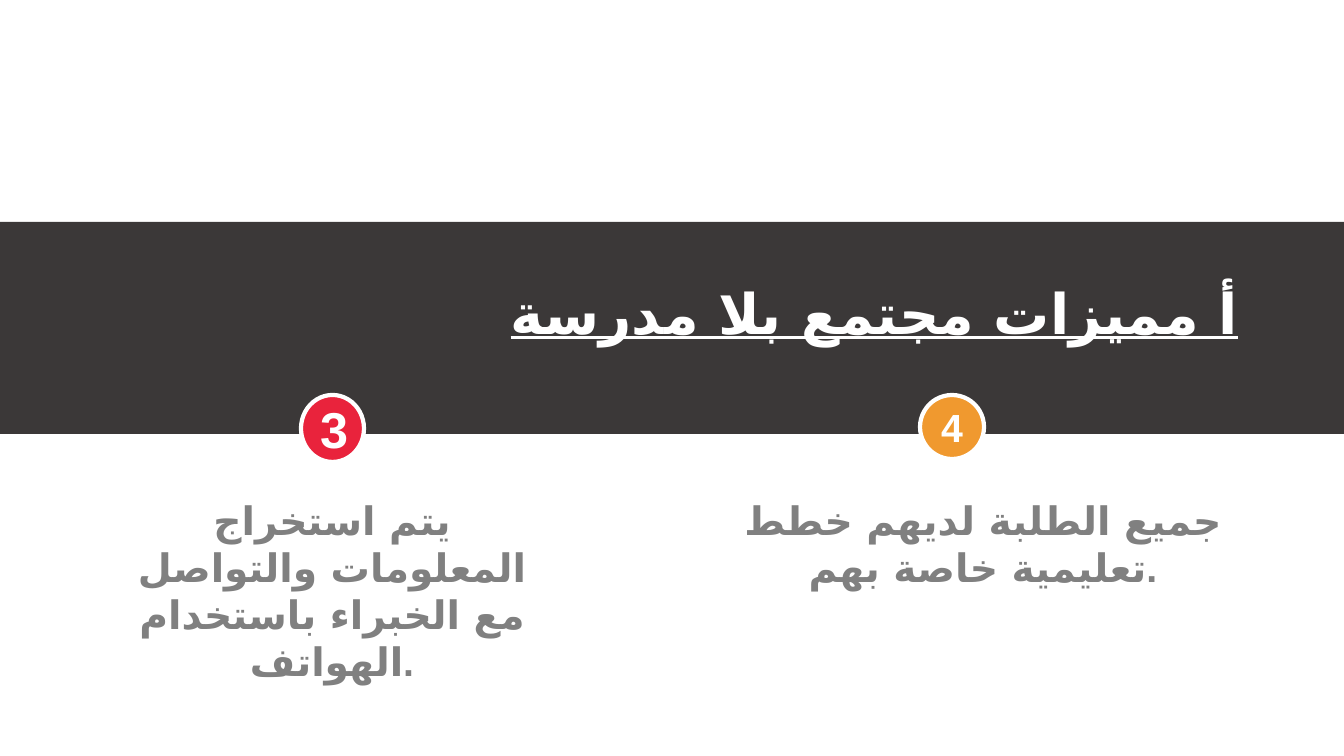
import pptx
import pptx.util
import pptx.dml.color
import pptx.enum.shapes
import pptx.enum.text
import pptx.oxml.ns
import lxml.etree

WIDE, HIGH = 1344, 756
SCALE = 12192000 / WIDE
ALIGN = pptx.enum.text.PP_ALIGN
ANCHOR = pptx.enum.text.MSO_ANCHOR
KIND = pptx.enum.shapes.MSO_SHAPE
THEME = {
    "dark": "3B3838", "red": "E9233C", "gold": "F0992F",
    "white": "FFFFFF", "grey": "808080", "arabic": "DejaVu Sans",
    "title": 40, "three": 36, "four": 28, "body": 28, "ring": 3,
}


def px(*sizes):
    return [pptx.util.Emu(round(size * SCALE)) for size in sizes]


def write(shape, text, size, color, align, anchor, face="Arial", **extra):
    """Fill a shape with one bold paragraph, set for Latin and Arabic."""
    frame = shape.text_frame
    frame.word_wrap = True
    frame.vertical_anchor = anchor
    para = frame.paragraphs[0]
    para.alignment = align
    run = para.add_run()
    run.text = text
    look = {"name": face, "size": pptx.util.Pt(THEME[size]), "bold": True}
    for key, value in (look | extra).items():
        setattr(run.font, key, value)
    run.font.color.rgb = pptx.dml.color.RGBColor.from_string(THEME[color])
    script = lxml.etree.SubElement(run.font._element, pptx.oxml.ns.qn("a:cs"))
    script.set("typeface", THEME["arabic"])
    return para


deck = pptx.Presentation()
deck.slide_width, deck.slide_height = px(WIDE, HIGH)
slide = deck.slides.add_slide(deck.slide_layouts[5])
title = slide.shapes.title

# Dark band behind the title
band = slide.shapes.add_shape(KIND.RECTANGLE, *px(0, 222, WIDE, 212))
band.shadow.inherit = False
band.fill.solid()
band.fill.fore_color.rgb = pptx.dml.color.RGBColor.from_string(THEME["dark"])
band.line.fill.background()
title.element.addprevious(band.element)

# Numbered badges and their captions
points = [
    ("3", "red", "three", (301, 395, 63, 67), (134, 496, 396, 142),
     "يتم استخراج المعلومات والتواصل مع الخبراء باستخدام الهواتف."),
    ("4", "gold", "four", (920, 395, 64, 64), (727, 496, 512, 178),
     "جميع الطلبة لديهم خطط تعليمية خاصة بهم."),
]
frames = [title.text_frame]
for digit, fill, size, spot, area, text in points:
    badge = slide.shapes.add_shape(KIND.OVAL, *px(*spot))
    badge.shadow.inherit = False
    badge.fill.solid()
    badge.fill.fore_color.rgb = pptx.dml.color.RGBColor.from_string(THEME[fill])
    badge.line.color.rgb = pptx.dml.color.RGBColor.from_string(THEME["white"])
    badge.line.width = pptx.util.Pt(THEME["ring"])
    write(badge, digit, size, "white", ALIGN.CENTER, ANCHOR.MIDDLE)

    note = slide.shapes.add_textbox(*px(*area))
    write(note, text, "body", "grey", ALIGN.CENTER, ANCHOR.TOP)
    frames.append(note.text_frame)

# Title, read from right to left
title.left, title.top, title.width, title.height = px(214, 279, 1024, 68)
para = write(title, "أ مميزات مجتمع بلا مدرسة", "title", "white",
             ALIGN.RIGHT, ANCHOR.TOP, "Roboto", underline=True)
para._p.get_or_add_pPr().set("rtl", "1")
title.text_frame.auto_size = pptx.enum.text.MSO_AUTO_SIZE.SHAPE_TO_FIT_TEXT

for frame in frames:
    for side in ("left", "top", "right", "bottom"):
        setattr(frame, "margin_" + side, 0)

deck.save("out.pptx")
